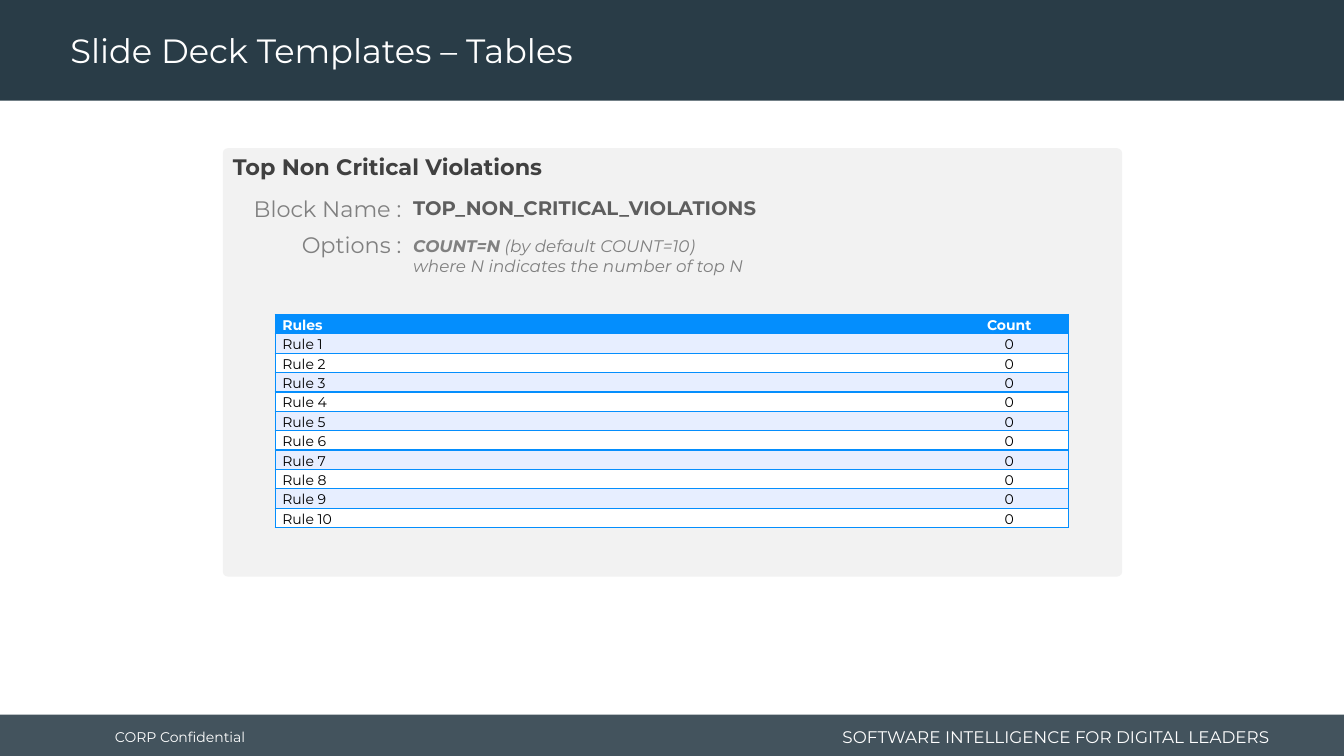
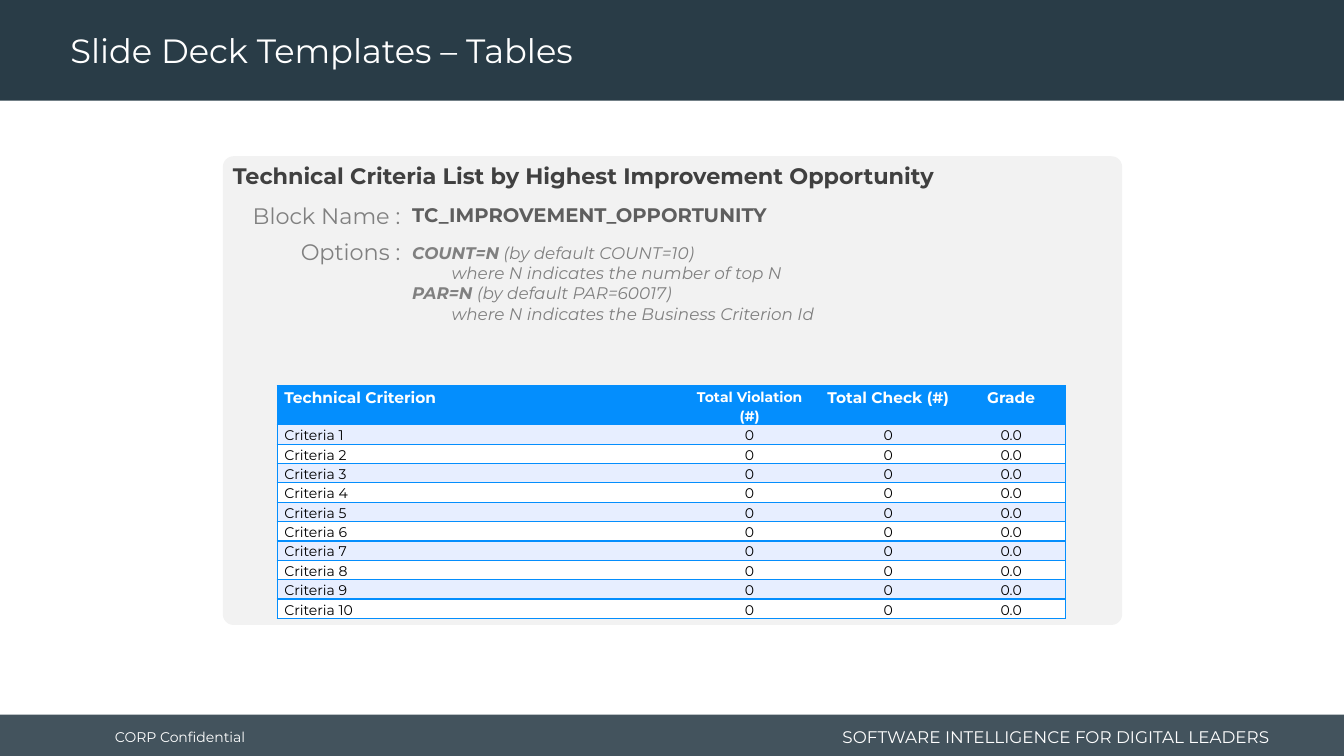
from lxml import etree
from pptx import Presentation
from pptx.dml.color import RGBColor
from pptx.enum import shapes, text
from pptx.oxml.ns import qn
from pptx.util import Inches, Pt

FONT = "Montserrat"
NAVY = RGBColor(0x29, 0x3C, 0x47)
WHITE = RGBColor(0xFF, 0xFF, 0xFF)
BLACK = RGBColor(0, 0, 0)
PANEL = RGBColor(0xF2, 0xF2, 0xF2)
DARK = RGBColor(0x40, 0x40, 0x40)
MID = RGBColor(0x5E, 0x5E, 0x5E)
GREY = RGBColor(0x80, 0x80, 0x80)
BLUE = RGBColor(0x04, 0x8E, 0xFD)
PALE = RGBColor(0xE7, 0xEE, 0xFF)

LEFT, CENTER, RIGHT = text.PP_ALIGN.LEFT, text.PP_ALIGN.CENTER, text.PP_ALIGN.RIGHT
MIDDLE, TOP = text.MSO_ANCHOR.MIDDLE, text.MSO_ANCHOR.TOP

TITLE = "Slide Deck Templates – Tables"
OWNER = "CORP Confidential"
MOTTO = "SOFTWARE INTELLIGENCE FOR DIGITAL LEADERS"
ROW = 0.19

# Each option is (key, default, explanation, indent of the explanation)
SLIDES = [
    dict(
        head="Top Non Critical Violations",
        block="TOP_NON_CRITICAL_VIOLATIONS",
        opts=[("COUNT=N", " (by default COUNT=10)",
               "where N indicates the number of top N", 0)],
        panel=(1.47, 4.25, 0.012), head_y=1.47, block_y=1.89, edge=4.08,
        grid=(2.73, 3.12), cols=[6.69, 1.18], head_h=ROW,
        heads=[("Rules", 10), ("Count", 10)],
        rows=[(f"Rule {n}", "0") for n in range(1, 11)],
    ),
    dict(
        head="Technical Criteria List by Highest Improvement Opportunity",
        block="TC_IMPROVEMENT_OPPORTUNITY",
        opts=[("COUNT=N", " (by default COUNT=10)",
               "where N indicates the number of top N", 0.39),
              ("PAR=N", " (by default PAR=60017)",
               "where N indicates the Business Criterion Id", 0.39)],
        panel=(1.55, 4.65, 0.023), head_y=1.56, block_y=1.96, edge=4.07,
        grid=(2.75, 3.83), cols=[3.99, 1.39, 1.36, 1.08], head_h=2 * ROW,
        heads=[("Technical Criterion", 11), ("Total Violation (#)", 10),
               ("Total Check (#)", 11), ("Grade", 11)],
        rows=[(f"Criteria {n}", "0", "0", "0.0") for n in range(1, 11)],
    ),
]


def style(para, words, size, color, bold=False, italic=False, align=LEFT, lead=None):
    """Add one formatted run to a paragraph."""
    para.alignment = align
    if lead:
        para.line_spacing = lead
    run = para.add_run()
    run.text = words
    font = run.font
    font.name, font.size, font.bold, font.italic = FONT, Pt(size), bold, italic
    font.color.rgb = color


def frame(slide, x, y, w, h, anchor=TOP, pad=0.1):
    box = slide.shapes.add_textbox(Inches(x), Inches(y), Inches(w), Inches(h))
    tf = box.text_frame
    tf.word_wrap, tf.vertical_anchor = True, anchor
    tf.margin_left = tf.margin_right = Inches(pad)
    return tf


def write(slide, words, x, y, w, h, anchor=TOP, pad=0.1, **form):
    style(frame(slide, x, y, w, h, anchor, pad).paragraphs[0], words, **form)


def block(slide, kind, x, y, w, h, color):
    shape = slide.shapes.add_shape(kind, Inches(x), Inches(y), Inches(w), Inches(h))
    shape.shadow.inherit = False
    shape.fill.solid()
    shape.fill.fore_color.rgb = color
    shape.line.fill.background()
    return shape


def base(slide):
    """Draw the bands, title and footer that all slides share."""
    rect = shapes.MSO_SHAPE.RECTANGLE
    foot = block(slide, rect, 0, 7.09, 13.33, 0.41, NAVY)
    tone = next(foot.fill._xPr.iter(qn("a:srgbClr")))
    etree.SubElement(tone, qn("a:alpha"), val="88000")
    block(slide, rect, 0, 0, 13.33, 1, NAVY)
    write(slide, OWNER, 1.04, 7.11, 1.6, 0.4, MIDDLE, size=10, color=WHITE)
    write(slide, MOTTO, 8.01, 7.15, 4.68, 0.32, MIDDLE, size=12, color=WHITE, align=RIGHT)
    write(slide, TITLE, 0.6, 0.04, 9.58, 0.96, MIDDLE, size=24, color=WHITE, lead=0.9)


def options(slide, opts, x, y):
    tf = frame(slide, x, y, 7.25, 0.1 + 0.4 * len(opts))
    form = dict(size=12, color=GREY, italic=True)
    for i, (key, default, note, indent) in enumerate(opts):
        para = tf.add_paragraph() if i else tf.paragraphs[0]
        style(para, key, bold=True, **form)
        style(para, default, **form)
        para = tf.add_paragraph()
        style(para, note, **form)
        para._p.get_or_add_pPr().set("marL", str(Inches(indent)))


def border(cell, sides):
    """Line the named sides of a cell in blue and clear the others."""
    props = cell._tc.get_or_add_tcPr()
    for i, side in enumerate("LRTB"):
        line = etree.Element(qn(f"a:ln{side}"), w=str(Pt(1)))
        if side in sides:
            fill = etree.SubElement(line, qn("a:solidFill"))
            etree.SubElement(fill, qn("a:srgbClr"), val=str(BLUE))
        else:
            etree.SubElement(line, qn("a:noFill"))
        props.insert(i, line)


def grid(slide, at, cols, head_h, heads, rows):
    high = head_h + ROW * len(rows)
    table = slide.shapes.add_table(
        len(rows) + 1, len(cols), *map(Inches, (*at, sum(cols), high))).table
    table.horz_banding = False
    for col, w in zip(table.columns, cols):
        col.width = Inches(w)
    cells = [heads] + [[(words, 10) for words in row] for row in rows]
    for r, line in enumerate(cells):
        table.rows[r].height = Inches(ROW if r else head_h)
        ink, back = (BLACK, PALE if r % 2 else WHITE) if r else (WHITE, BLUE)
        for c, (words, size) in enumerate(line):
            cell = table.cell(r, c)
            cell.margin_left = cell.margin_right = Inches(0.07)
            cell.margin_top = cell.margin_bottom = 0
            cell.fill.solid()
            cell.fill.fore_color.rgb = back
            style(cell.text_frame.paragraphs[0], words, size, ink, bold=r == 0,
                  align=CENTER if c else LEFT, lead=1.15)
            border(cell, "TB" + "L" * (c == 0) + "R" * (c == len(cols) - 1))


def page(slide, d):
    base(slide)
    y, h, bend = d["panel"]
    card = block(slide, shapes.MSO_SHAPE.ROUNDED_RECTANGLE, 2.21, y, 8.92, h, PANEL)
    card.adjustments[0] = bend
    write(slide, d["head"], 2.11, d["head_y"], 8.91, 0.37, pad=0.2,
          size=16, color=DARK, bold=True)
    top, edge = d["block_y"], d["edge"]
    write(slide, d["block"], edge - 0.08, top, 7.25, 0.34, size=14, color=MID, bold=True)
    for label, drop in (("Block Name :", 0), ("Options :", 0.35)):
        write(slide, label, edge - 1.87, top + drop, 1.87, 0.37,
              size=16, color=GREY, align=RIGHT)
    options(slide, d["opts"], edge - 0.08, top + 0.4)
    grid(slide, d["grid"], d["cols"], d["head_h"], d["heads"], d["rows"])


def main():
    deck = Presentation()
    deck.slide_width, deck.slide_height = Inches(13.33), Inches(7.5)
    for d in SLIDES:
        page(deck.slides.add_slide(deck.slide_layouts[6]), d)
    deck.save("out.pptx")


if __name__ == "__main__":
    main()
